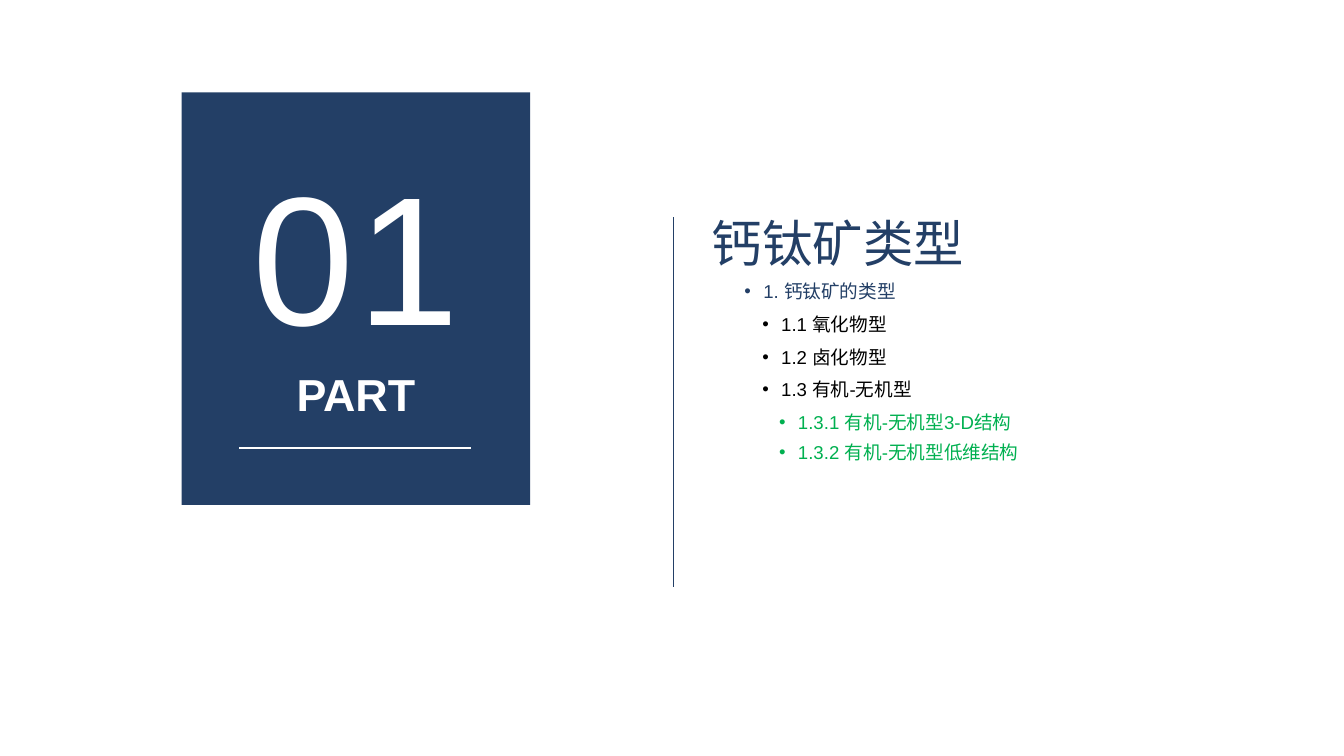
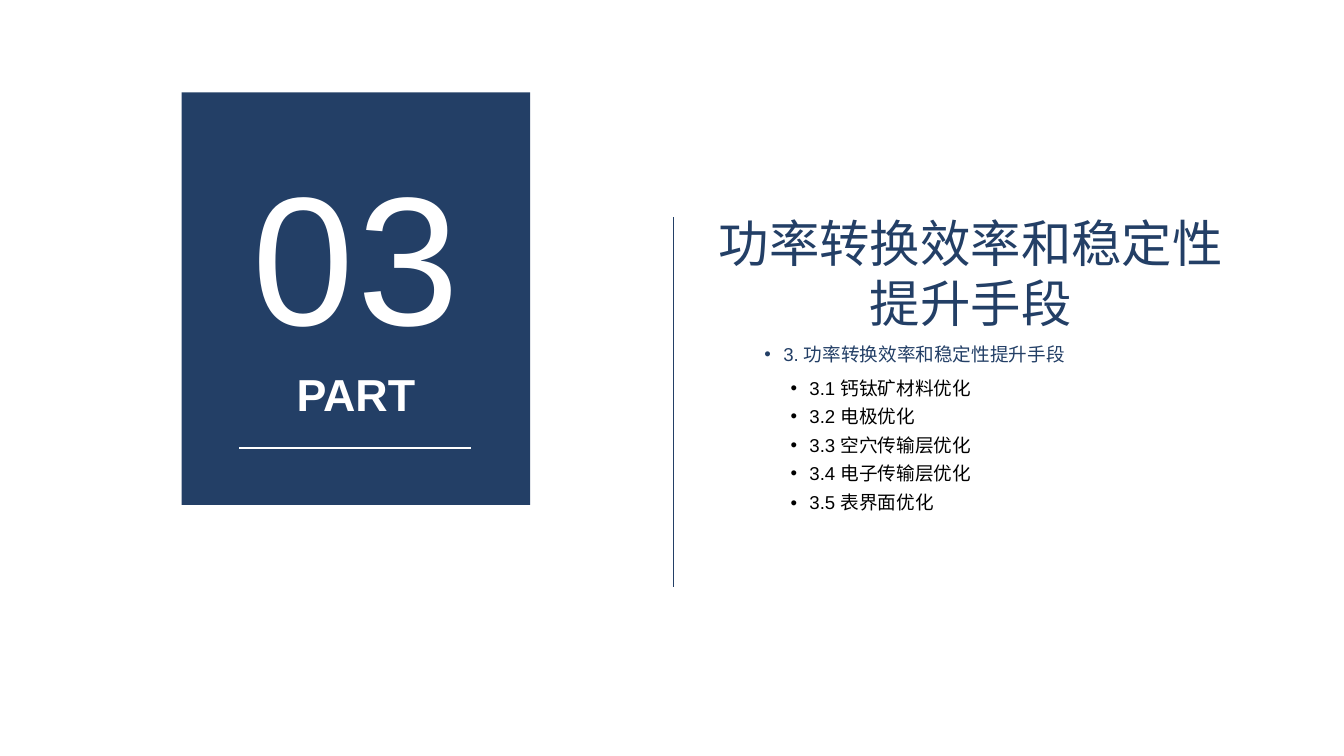
from lxml import etree
from pptx import Presentation
from pptx.dml.color import RGBColor
from pptx.enum.shapes import MSO_CONNECTOR, MSO_SHAPE
from pptx.enum.text import MSO_ANCHOR, PP_ALIGN
from pptx.oxml.ns import qn
from pptx.util import Pt

EMU_PER_PX = 9525
WIDTH, HEIGHT = 1280, 720

NAVY = RGBColor(0x23, 0x3F, 0x66)
WHITE = RGBColor(0xFF, 0xFF, 0xFF)
BLACK = RGBColor(0x00, 0x00, 0x00)
GREEN = RGBColor(0x00, 0xB0, 0x50)

STRAIGHT = MSO_CONNECTOR.STRAIGHT
RECTANGLE = MSO_SHAPE.RECTANGLE
LEFT, CENTER = PP_ALIGN.LEFT, PP_ALIGN.CENTER
TOP, BOTTOM = MSO_ANCHOR.TOP, MSO_ANCHOR.BOTTOM


def px(*lengths):
    return [length * EMU_PER_PX for length in lengths]


class SectionDeck:
    font_name = "Arial"
    title_size = 36
    item_size = 13.3
    bullet_indent = 18

    def __init__(self):
        self.presentation = Presentation()
        self.presentation.slide_width, self.presentation.slide_height = px(WIDTH, HEIGHT)
        self.slide = None

    def block(self, left, top, width, height, color):
        shape = self.slide.shapes.add_shape(RECTANGLE, *px(left, top, width, height))
        shape.shadow.inherit = False
        shape.fill.solid()
        shape.fill.fore_color.rgb = color
        shape.line.fill.background()

    def line(self, x1, y1, x2, y2, color, weight):
        connector = self.slide.shapes.add_connector(STRAIGHT, *px(x1, y1, x2, y2))
        connector.line.color.rgb = color
        connector.line.width = Pt(weight)
        etree.SubElement(connector._element.spPr, qn("a:effectLst"))

    def text(self, left, top, width, height, words, size, color,
             align=LEFT, anchor=TOP, bold=False):
        """Add a one-paragraph text box without side margins; return the paragraph."""
        shape = self.slide.shapes.add_textbox(*px(left, top, width, height))
        frame = shape.text_frame
        frame.word_wrap = True
        frame.vertical_anchor = anchor
        frame.margin_left = frame.margin_right = 0
        frame.margin_top = frame.margin_bottom = 0
        paragraph = frame.paragraphs[0]
        paragraph.text = words
        paragraph.alignment = align
        font = paragraph.font
        font.name, font.size, font.bold = self.font_name, Pt(size), bold
        font.color.rgb = color
        return paragraph

    def number(self, words):
        paragraph = self.text(173, 129, 332, 216, words, 130.8, WHITE, CENTER, BOTTOM)
        paragraph._p.pPr.find(qn("a:defRPr")).set("spc", "280")

    def bullet(self, left, top, width, words, color):
        paragraph = self.text(left, top, width, 21, words, self.item_size, color)
        properties = paragraph._p.pPr
        indent, = px(self.bullet_indent)
        properties.set("marL", str(indent))
        properties.set("indent", str(-indent))
        mark = etree.Element(qn("a:buChar"), char="•")
        typeface = etree.Element(qn("a:buFont"), typeface=self.font_name)
        properties.find(qn("a:defRPr")).addprevious(typeface)
        typeface.addnext(mark)

    def bullets(self, left, first_top, last_top, width, color, items):
        """Spread the items evenly between the first and the last top."""
        gaps = max(len(items) - 1, 1)
        for index, words in enumerate(items):
            top = first_top + index * (last_top - first_top) // gaps
            self.bullet(left, top, width, words, color)

    def section(self, number, title, title_width, title_height, title_align, groups):
        self.slide = self.presentation.slides.add_slide(self.presentation.slide_layouts[6])
        self.block(173, 88, 332, 393, NAVY)
        self.line(228, 427, 449, 427, WHITE, 1.5)
        self.text(217, 348, 244, 52, "PART", 32, WHITE, CENTER, BOTTOM, bold=True)
        self.line(641, 207, 641, 559, NAVY, 0.5)
        self.text(678, 202, title_width, title_height, title,
                  self.title_size, NAVY, title_align)
        self.number(number)
        for group in groups:
            self.bullets(*group)


def main():
    deck = SectionDeck()
    deck.section("01", "钙钛矿类型", 556, 58, LEFT, [
        (709, 267, 267, 183, NAVY, ["1. 钙钛矿的类型"]),
        (726, 298, 360, 183, BLACK, ["1.1 氧化物型", "1.2 卤化物型", "1.3 有机-无机型"]),
        (742, 391, 420, 260, GREEN, ["1.3.1 有机-无机型3-D结构", "1.3.2 有机-无机型低维结构"]),
    ])
    deck.section("03", "功率转换效率和稳定性提升手段", 493, 116, CENTER, [
        (728, 327, 327, 323, NAVY, ["3. 功率转换效率和稳定性提升手段"]),
        (753, 359, 468, 210, BLACK, [
            "3.1 钙钛矿材料优化", "3.2 电极优化", "3.3 空穴传输层优化",
            "3.4 电子传输层优化", "3.5 表界面优化",
        ]),
    ])
    deck.presentation.save("out.pptx")


if __name__ == "__main__":
    main()
